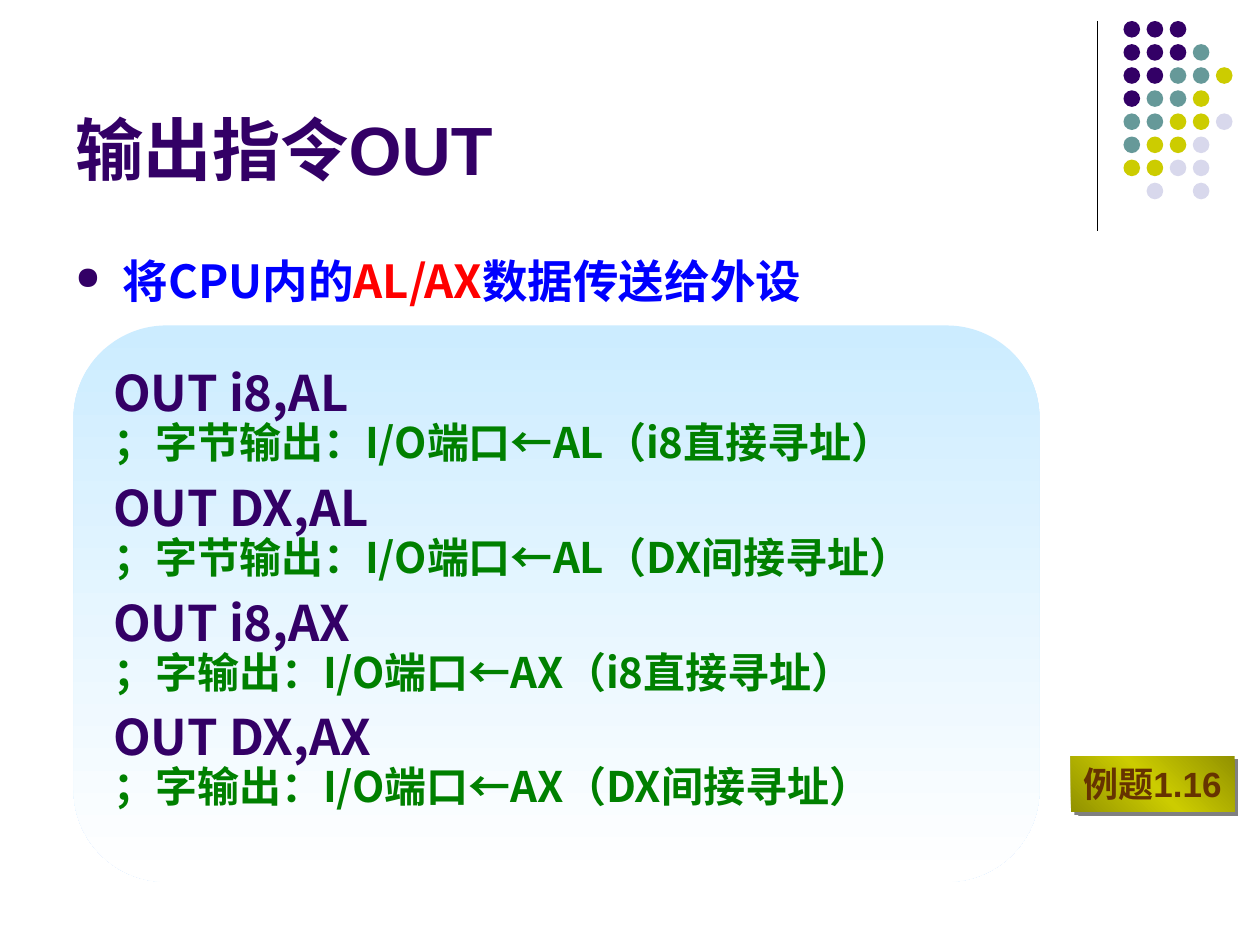
from lxml import etree
from pptx import Presentation
from pptx.dml.color import RGBColor
from pptx.enum.shapes import MSO_CONNECTOR, MSO_SHAPE
from pptx.enum.text import MSO_ANCHOR, MSO_AUTO_SIZE, PP_ALIGN
from pptx.oxml import parse_xml
from pptx.oxml.ns import nsdecls, qn
from pptx.util import Pt

LEFT = PP_ALIGN.LEFT
TOP, BOTTOM = MSO_ANCHOR.TOP, MSO_ANCHOR.BOTTOM
NO_AUTOSIZE = MSO_AUTO_SIZE.NONE
STRAIGHT = MSO_CONNECTOR.STRAIGHT
OVAL, RECTANGLE = MSO_SHAPE.OVAL, MSO_SHAPE.RECTANGLE
ROUNDED_PANEL = MSO_SHAPE.FLOWCHART_ALTERNATE_PROCESS
CJK_FONT = "Noto Sans CJK SC"
PURPLE, TEAL, YELLOW, LILAC = "330066", "669999", "CCCC00", "D8D8EC"


def hex_color(value):
    return RGBColor.from_string(value)


def add_text(paragraph, text, size, color, font=CJK_FONT):
    paragraph.alignment = LEFT
    run = paragraph.add_run()
    run.text = text
    run.font.size = Pt(size)
    run.font.bold = True
    run.font.name = font
    run.font.color.rgb = hex_color(color)
    east_asian = etree.SubElement(run.font._element, qn("a:ea"))
    east_asian.set("typeface", CJK_FONT)


presentation = Presentation()
presentation.slide_width = Pt(720)
presentation.slide_height = Pt(540)
slide = presentation.slides.add_slide(presentation.slide_layouts[5])
shapes = slide.shapes

# Vertical rule beside the dots
rule = shapes.add_connector(STRAIGHT, Pt(627), Pt(12), Pt(627), Pt(132))
rule.line.color.rgb = hex_color("000000")
rule.line.width = Pt(0.75)
etree.SubElement(rule._element.spPr, qn("a:effectLst"))

# Dot pattern, one letter for each dot
dot_colors = {"P": PURPLE, "T": TEAL, "Y": YELLOW, "L": LILAC}
dot_rows = ["PPP", "PPPT", "PPTTY", "PTTY", "TTYYL", "TYYL", "YYLL", " L L"]
for row, letters in enumerate(dot_rows):
    for column, letter in enumerate(letters):
        if letter in dot_colors:
            dot = shapes.add_shape(OVAL, Pt(642 + 13.2 * column), Pt(12 + 13.2 * row),
                                   Pt(9.5), Pt(9.5))
            dot.shadow.inherit = False
            dot.fill.solid()
            dot.fill.fore_color.rgb = hex_color(dot_colors[letter])
            dot.line.fill.background()

# Title
title = shapes.title
title.left, title.top, title.width, title.height = Pt(36), Pt(9.5), Pt(594), Pt(102)
title.text_frame.vertical_anchor = BOTTOM
title.text_frame.auto_size = NO_AUTOSIZE
add_text(title.text_frame.paragraphs[0], "输出指令OUT", 39, PURPLE, font="Arial")

# Bulleted summary
summary = shapes.add_textbox(Pt(36), Pt(138), Pt(648), Pt(45))
summary.text_frame.word_wrap = True
paragraph = summary.text_frame.paragraphs[0]
properties = paragraph._p.get_or_add_pPr()
properties.set("marL", str(Pt(27)))
properties.set("indent", str(-Pt(27)))
for bullet in (f'<a:buClr {nsdecls("a")}><a:srgbClr val="{PURPLE}"/></a:buClr>',
               f'<a:buSzPct {nsdecls("a")} val="70000"/>',
               f'<a:buChar {nsdecls("a")} char="●"/>'):
    properties.append(parse_xml(bullet))
paragraph.line_spacing = Pt(34)
for text, color in [("将CPU内的", "0000FF"), ("AL/AX", "FF0000"),
                    ("数据传送给外设", "0000FF")]:
    add_text(paragraph, text, 26, color)

# Instruction panel and example button
panel = shapes.add_shape(ROUNDED_PANEL, Pt(42), Pt(186), Pt(552), Pt(318))
button = shapes.add_shape(RECTANGLE, Pt(612), Pt(432), Pt(93.5), Pt(32))
gradients = [
    (panel, 270, [(0, "CCECFF"), (100, "FFFFFF")]),
    (button, 45, [(0, "929200"), (50, YELLOW), (100, "929200")]),
]
for shape, angle, stops in gradients:
    shape.shadow.inherit = False
    shape.line.fill.background()
    shape.fill.gradient()
    shape.fill.gradient_angle = angle
    stop_list = shape._element.spPr.find(".//" + qn("a:gsLst"))
    for old_stop in list(stop_list):
        stop_list.remove(old_stop)
    for position, color in stops:
        stop_list.append(parse_xml(
            f'<a:gs {nsdecls("a")} pos="{position * 1000}">'
            f'<a:srgbClr val="{color}"/></a:gs>'))
    shape.text_frame.word_wrap = True
    shape.text_frame.vertical_anchor = TOP
    shape.text_frame.auto_size = NO_AUTOSIZE

# Instructions, each with its comment below
instructions = [
    ("OUT i8,AL", "；字节输出：I/O端口←AL（i8直接寻址）"),
    ("OUT DX,AL", "；字节输出：I/O端口←AL（DX间接寻址）"),
    ("OUT i8,AX", "；字输出：I/O端口←AX（i8直接寻址）"),
    ("OUT DX,AX", "；字输出：I/O端口←AX（DX间接寻址）"),
]
for index, (code, comment) in enumerate(instructions):
    if index == 0:
        paragraph = panel.text_frame.paragraphs[0]
    else:
        paragraph = panel.text_frame.add_paragraph()
        paragraph.space_before = Pt(3.5)
    paragraph.line_spacing = Pt(36)
    add_text(paragraph, code, 28, PURPLE)
    paragraph = panel.text_frame.add_paragraph()
    paragraph.space_before = Pt(6)
    paragraph.line_spacing = Pt(20)
    add_text(paragraph, comment, 24, "008000")

# Button label and hard shadow
add_text(button.text_frame.paragraphs[0], "例题1.16", 20, "663300", font="Arial")
button._element.spPr.find(qn("a:effectLst")).append(parse_xml(
    f'<a:outerShdw {nsdecls("a")} dist="{Pt(2.8)}" dir="2700000" algn="ctr" '
    'rotWithShape="0"><a:srgbClr val="808080"/></a:outerShdw>'))

presentation.save("out.pptx")
